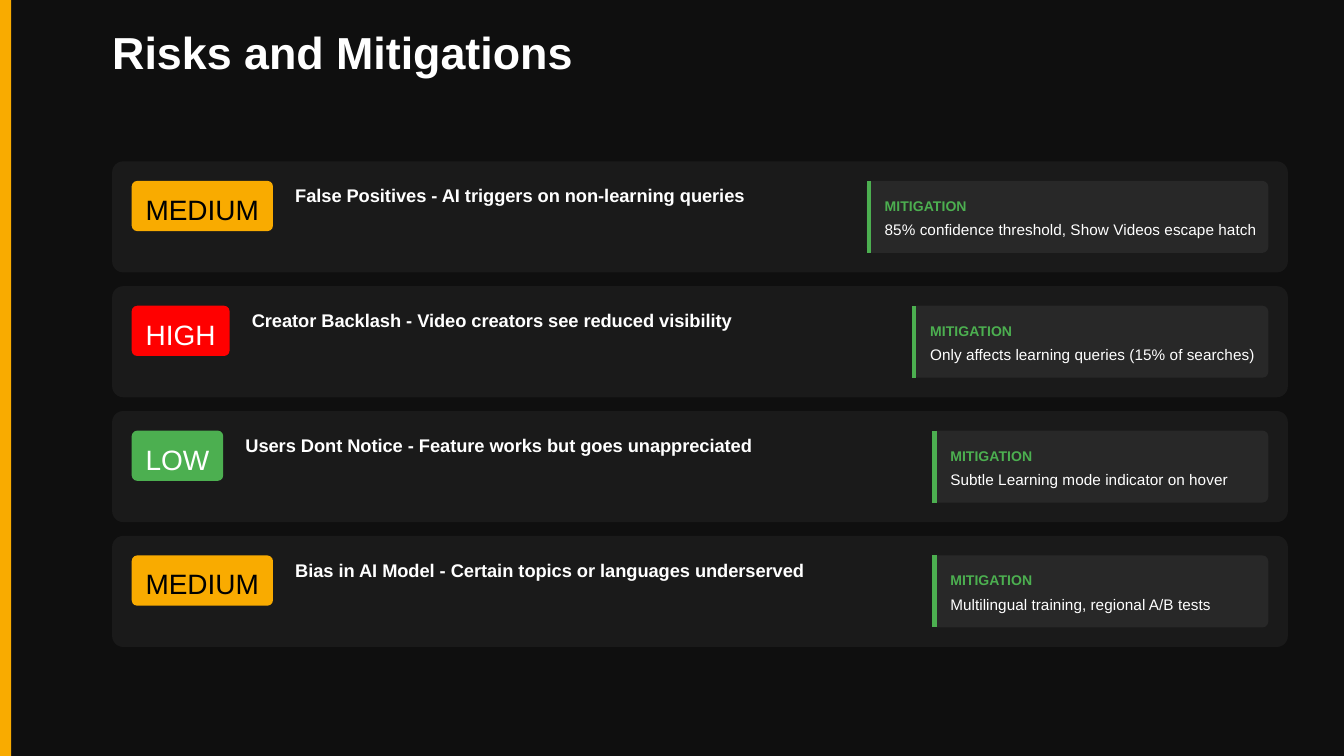
"""Build the Risks and Mitigations slide."""
from lxml import etree
from pptx import Presentation
from pptx.dml.color import RGBColor
from pptx.enum.shapes import MSO_CONNECTOR, MSO_SHAPE
from pptx.enum.text import MSO_ANCHOR, MSO_AUTO_SIZE, PP_ALIGN
from pptx.oxml.ns import qn
from pptx.util import Cm, Pt

RECT, ROUND = MSO_SHAPE.RECTANGLE, MSO_SHAPE.ROUNDED_RECTANGLE
STRAIGHT = MSO_CONNECTOR.STRAIGHT
TOP, NO_FIT = MSO_ANCHOR.TOP, MSO_AUTO_SIZE.NONE
LEFT, CENTER = PP_ALIGN.LEFT, PP_ALIGN.CENTER

COLORS = {
    "background": "0F0F0F", "card": "1A1A1A", "panel": "282828",
    "amber": "F9AB00", "red": "FF0000", "green": "4CAF50",
    "white": "FFFFFF", "black": "000000",
}
LEVELS = {
    "MEDIUM": ("amber", "black", 2.67),
    "HIGH": ("red", "white", 1.85),
    "LOW": ("green", "white", 1.73),
}
RISKS = [
    ("MEDIUM", "False Positives - AI triggers on non-learning queries", 10.6,
     "85% confidence threshold, Show Videos escape hatch", 16.38),
    ("HIGH", "Creator Backlash - Video creators see reduced visibility", 12.3,
     "Only affects learning queries (15% of searches)", 17.24),
    ("LOW", "Users Dont Notice - Feature works but goes unappreciated", 12.8,
     "Subtle Learning mode indicator on hover", 17.62),
    ("MEDIUM", "Bias in AI Model - Certain topics or languages underserved", 11.84,
     "Multilingual training, regional A/B tests", 17.62),
]
PANEL_RIGHT = 23.97

prs = Presentation()
prs.slide_width, prs.slide_height = Cm(25.4), Cm(14.29)
s = prs.slides.add_slide(prs.slide_layouts[5])
s.background.fill.solid()
s.background.fill.fore_color.rgb = RGBColor.from_string(COLORS["background"])


def add_box(kind, x, y, w, h, color, radius=0):
    sp = s.shapes.add_shape(kind, Cm(x), Cm(y), Cm(w), Cm(h))
    sp.shadow.inherit = False
    sp.fill.solid()
    sp.fill.fore_color.rgb = RGBColor.from_string(COLORS[color])
    sp.line.fill.background()
    if radius:
        sp.adjustments[0] = radius


def add_text(x, y, w, h, text, size, spacing, color, bold=False, align=LEFT, sp=None):
    sp = sp or s.shapes.add_textbox(0, 0, 0, 0)
    sp.left, sp.top, sp.width, sp.height = Cm(x), Cm(y), Cm(w), Cm(h)
    tf = sp.text_frame
    tf.margin_left = tf.margin_right = tf.margin_top = tf.margin_bottom = 0
    tf.word_wrap, tf.auto_size, tf.vertical_anchor = True, NO_FIT, TOP
    p = tf.paragraphs[0]
    p.alignment, p.line_spacing = align, Pt(spacing)
    r = p.add_run()
    r.text = text
    r.font.name, r.font.size, r.font.bold = "Arial", Pt(size), bold
    r.font.color.rgb = RGBColor.from_string(COLORS[color])


add_box(RECT, 0, 0, 0.21, 14.29, "amber")
add_text(2.12, 0.64, 11.91, 0.85, "Risks and Mitigations", 24, 24, "white", True,
         sp=s.shapes.title)

for i, (level, risk, risk_w, mitigation, panel_x) in enumerate(RISKS):
    y = 3.05 + i * 2.36
    fill, ink, badge_w = LEVELS[level]
    add_box(ROUND, 2.12, y, 22.22, 2.1, "card", 0.1)
    add_box(ROUND, 2.49, y + 0.37, badge_w, 0.95, fill, 0.11)
    add_text(2.73, y + 0.48, badge_w - 0.48, 0.74, level, 15, 21, ink, align=CENTER)
    add_text(2.49 + badge_w + 0.42, y + 0.37, risk_w, 0.48, risk, 9.75, 13.7, "white", True)

    add_box(ROUND, panel_x, y + 0.37, PANEL_RIGHT - panel_x, 1.36, "panel", 0.08)
    bar = s.shapes.add_connector(STRAIGHT, Cm(panel_x + 0.04), Cm(y + 0.37),
                                 Cm(panel_x + 0.04), Cm(y + 1.73))
    bar.line.width = Pt(2.25)
    bar.line.color.rgb = RGBColor.from_string(COLORS["green"])
    etree.SubElement(bar._element.spPr, qn("a:effectLst"))
    text_x = panel_x + 0.34
    text_w = PANEL_RIGHT - 0.13 - text_x
    add_text(text_x, y + 0.63, text_w, 0.38, "MITIGATION", 7.5, 10.5, "green", True)
    add_text(text_x, y + 1.06, text_w, 0.41, mitigation, 8.25, 11.6, "white")

prs.save("out.pptx")
